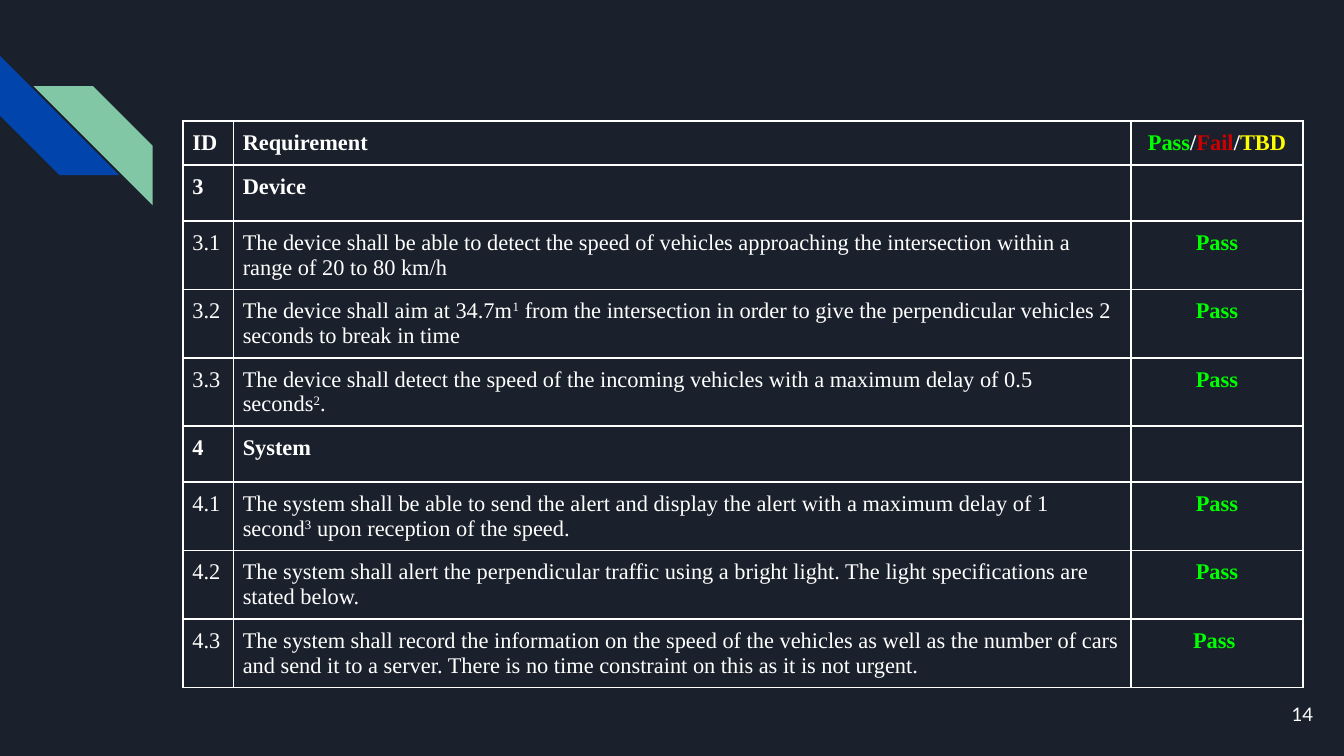
import pptx
import pptx.dml.color
import pptx.enum.shapes
import pptx.enum.text
import pptx.oxml
import pptx.oxml.ns
import pptx.util
from lxml import etree

Pt = pptx.util.Pt
ALIGN = pptx.enum.text.PP_ALIGN

THEME = {
    "background": "1B212C", "blue": "0145AC", "mint": "82C7A5",
    "text": "FFFFFF", "pass": "00FF00", "fail": "CC0000", "tbd": "FFFF00",
    "table_font": "Times New Roman", "table_size": 12,
    "number_font": "Lato", "number_size": 10,
}

HEADER = ("ID", "Requirement")
LEGEND = [("Pass", "pass"), ("/", "text"), ("Fail", "fail"), ("/", "text"), ("TBD", "tbd")]
SECTIONS = [
    ("3", "Device", [
        (["The device shall be able to detect the speed of vehicles approaching the intersection "
          "within a range of 20 to 80 km/h"], "Pass"),
        (["The device shall aim at 34.7m", "1", " from the intersection in order to give the "
          "perpendicular vehicles 2 seconds to break in time"], "Pass"),
        (["The device shall detect the speed of the incoming vehicles with a maximum delay of "
          "0.5 seconds", "2", "."], "Pass"),
    ]),
    ("4", "System", [
        (["The system shall be able to send the alert and display the alert with a maximum delay "
          "of 1 second", "3", " upon reception of the speed."], "Pass"),
        (["The system shall alert the perpendicular traffic using a bright light. The light "
          "specifications are stated below."], "Pass"),
        (["The system shall record the information on the speed of the vehicles as well as the "
          "number of cars and send it to a server. There is no time constraint on this as it is "
          "not urgent."], "Pass "),
    ]),
]
SLIDE_NUMBER = "14"

TABLE_LEFT, TABLE_TOP = 98, 64.8
COLUMN_WIDTHS = (27, 481, 92)
HEADER_HEIGHT, SECTION_HEIGHT, REQUIREMENT_HEIGHT = 23.6, 30, 36.55
CELL_MARGIN = 5
STRIPE_SIZE = 63.8
STRIPES = [(0, 30, "blue", 270, False), (18, 46.2, "mint", 0, True)]


def color(name):
    return pptx.dml.color.RGBColor.from_string(THEME[name])


def style(paragraph, kind, color_name="text", bold=False, align=ALIGN.LEFT):
    paragraph.alignment = align
    font = paragraph.font
    font.name = THEME[kind + "_font"]
    font.size = Pt(THEME[kind + "_size"])
    font.bold = bold
    font.color.rgb = color(color_name)


def add_stripe(slide, left, top, fill, rotation, flipped):
    shape = slide.shapes.add_shape(
        pptx.enum.shapes.MSO_SHAPE.DIAGONAL_STRIPE,
        Pt(left), Pt(top), Pt(STRIPE_SIZE), Pt(STRIPE_SIZE))
    shape.adjustments[0] = 0.5
    shape.rotation = rotation
    shape.shadow.inherit = False
    shape.fill.solid()
    shape.fill.fore_color.rgb = color(fill)
    shape.line.fill.background()
    if flipped:
        shape._element.spPr.find(pptx.oxml.ns.qn("a:xfrm")).set("flipH", "1")


def add_borders(cell):
    properties = cell._tc.get_or_add_tcPr()
    qn = pptx.oxml.ns.qn
    for index, side in enumerate(("a:lnL", "a:lnR", "a:lnT", "a:lnB")):
        line = etree.Element(qn(side), w=str(Pt(1)))
        fill = etree.SubElement(line, qn("a:solidFill"))
        etree.SubElement(fill, qn("a:srgbClr"), val=THEME["text"])
        properties.insert(index, line)


def fill_cell(cell, parts, **look):
    cell.margin_left = cell.margin_right = Pt(CELL_MARGIN + 0.1)
    cell.margin_top = cell.margin_bottom = Pt(CELL_MARGIN)
    cell.fill.background()
    add_borders(cell)
    paragraph = cell.text_frame.paragraphs[0]
    style(paragraph, "table", **look)
    for index, part in enumerate(parts):
        run = paragraph.add_run()
        if isinstance(part, tuple):
            run.text, color_name = part
            run.font.color.rgb = color(color_name)
        else:
            run.text = part
            if index % 2:
                run.font._element.set("baseline", "30000")


def table_rows():
    bold = {"bold": True}
    centered = {"bold": True, "align": ALIGN.CENTER}
    yield HEADER_HEIGHT, [([HEADER[0]], bold), ([HEADER[1]], bold), (LEGEND, centered)]
    for number, title, requirements in SECTIONS:
        yield SECTION_HEIGHT, [([number], bold), ([title], bold), ([], {})]
        for index, (parts, result) in enumerate(requirements, 1):
            yield REQUIREMENT_HEIGHT, [
                ([f"{number}.{index}"], {}), (parts, {}),
                ([result], {"color_name": "pass", **centered})]


def add_requirements(slide):
    rows = list(table_rows())
    table = slide.shapes.add_table(
        len(rows), len(COLUMN_WIDTHS), Pt(TABLE_LEFT), Pt(TABLE_TOP),
        Pt(sum(COLUMN_WIDTHS)), Pt(sum(height for height, _ in rows))).table
    table.first_row = table.horz_banding = False
    for column, width in zip(table.columns, COLUMN_WIDTHS):
        column.width = Pt(width)
    for row, (height, cells) in zip(table.rows, rows):
        row.height = Pt(height)
        for cell, (parts, look) in zip(row.cells, cells):
            fill_cell(cell, parts, **look)


def add_slide_number(slide):
    frame = slide.shapes.add_textbox(Pt(667.4), Pt(367.2), Pt(43.2), Pt(31)).text_frame
    frame.word_wrap = True
    frame.vertical_anchor = pptx.enum.text.MSO_ANCHOR.MIDDLE
    frame.margin_left = frame.margin_right = frame.margin_top = frame.margin_bottom = Pt(7.2)
    paragraph = frame.paragraphs[0]
    paragraph.text = SLIDE_NUMBER
    style(paragraph, "number", align=ALIGN.RIGHT)


def main():
    presentation = pptx.Presentation()
    presentation.slide_width, presentation.slide_height = Pt(720), Pt(405)
    slide = presentation.slides.add_slide(presentation.slide_layouts[6])
    slide.background.fill.solid()
    slide.background.fill.fore_color.rgb = color("background")
    for stripe in STRIPES:
        add_stripe(slide, *stripe)
    add_requirements(slide)
    add_slide_number(slide)
    presentation.save("out.pptx")


if __name__ == "__main__":
    main()
